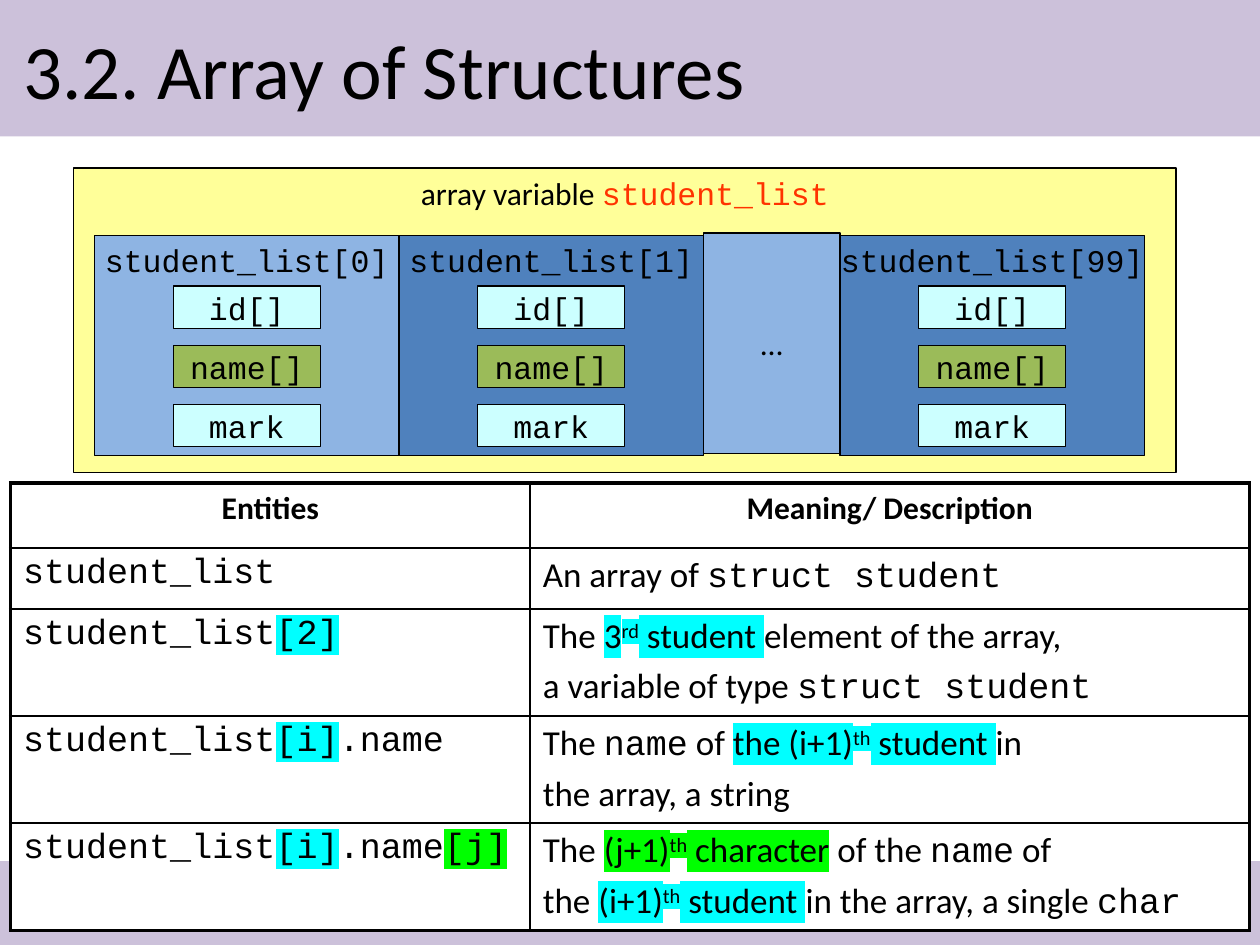
"""Build the slide on arrays of structures, laid out on a grid of 120 columns by 90 rows."""

from typing import Any, NamedTuple

import lxml.etree
import pptx
import pptx.dml.color
import pptx.enum.shapes
import pptx.enum.text
import pptx.oxml.ns
import pptx.util

COLOURS = {
    "band": "CCC1DA",
    "panel": "FFFF99",
    "light": "8EB4E3",
    "dark": "4F81BD",
    "field": "CCFFFF",
    "array_field": "9BBB59",
    "variable": "FF3300",
    "cyan": "00FFFF",
    "green": "00FF00",
    "black": "000000",
    "white": "FFFFFF",
}
SANS, MONO = "Calibri", "Courier New"
CENTER = pptx.enum.text.PP_ALIGN.CENTER
LEFT = pptx.enum.text.PP_ALIGN.LEFT
TOP = pptx.enum.text.MSO_ANCHOR.TOP
MIDDLE = pptx.enum.text.MSO_ANCHOR.MIDDLE


class Run(NamedTuple):
    text: str
    font: str = SANS
    highlight: str = ""
    raised: bool = False
    colour: str = "black"


class Area(NamedTuple):
    column: float
    row: float
    columns: float
    rows: float


class Element(NamedTuple):
    label: str
    column: float
    fill: str


class Field(NamedTuple):
    label: str
    fill: str


ELEMENTS = [
    Element("student_list[0]", 9, "light"),
    Element("student_list[1]", 38, "dark"),
    Element("student_list[99]", 80, "dark"),
]
FIELDS = [Field("id[]", "field"), Field("name[]", "array_field"), Field("mark", "field")]
TABLE_COLUMNS = [49.5, 68.5]
TABLE_ROWS = [6.2, 5.8, 10.2, 10.2, 10.2]
LIST = Run("student_list", MONO)
INDEX_I = Run("[i]", MONO, "cyan")
NAME = Run("name", MONO)
STRUCT = Run("struct student", MONO)
STUDENT = Run(" student ", SANS, "cyan")


def ordinal(number: str, suffix: str, mark: str) -> list[Run]:
    """Return a highlighted number followed by its raised suffix."""
    return [Run(number, SANS, mark), Run(suffix, SANS, mark, True)]


ENTITIES = [
    ([[Run("Entities")]], [[Run("Meaning/ Description")]]),
    ([[LIST]], [[Run("An array of "), STRUCT]]),
    (
        [[LIST, Run("[2]", MONO, "cyan")]],
        [
            [Run("The "), *ordinal("3", "rd", "cyan"), STUDENT, Run("element of the array,")],
            [Run("a variable of type "), STRUCT],
        ],
    ),
    (
        [[LIST, INDEX_I, Run(".name", MONO)]],
        [
            [Run("The "), NAME, Run(" of "), *ordinal("the (i+1)", "th", "cyan"), STUDENT, Run("in")],
            [Run("the array, a string")],
        ],
    ),
    (
        [[LIST, INDEX_I, Run(".name", MONO), Run("[j]", MONO, "green")]],
        [
            [
                Run("The "), *ordinal("(j+1)", "th", "green"), Run(" character", SANS, "green"),
                Run(" of the "), NAME, Run(" of"),
            ],
            [
                Run("the "), *ordinal("(i+1)", "th", "cyan"), STUDENT,
                Run("in the array, a single "), Run("char", MONO),
            ],
        ],
    ),
]


def grid(units: float) -> int:
    """Convert grid units, twelve to the inch, to a length."""
    return pptx.util.Inches(units / 12)


def rgb(name: str) -> pptx.dml.color.RGBColor:
    """Look up a named colour."""
    return pptx.dml.color.RGBColor.from_string(COLOURS[name])


def add_colour(parent: Any, name: str) -> None:
    """Append a colour element to an XML element."""
    colour = lxml.etree.SubElement(parent, pptx.oxml.ns.qn("a:srgbClr"))
    colour.set("val", COLOURS[name])


def write(frame: Any, lines: list[list[Run]], size: float, align: Any = LEFT, bold: bool = False) -> None:
    """Write lines of runs into a text frame."""
    for number, line in enumerate(lines):
        paragraph = frame.add_paragraph() if number else frame.paragraphs[0]
        paragraph.alignment = align
        if number:
            paragraph.space_before = pptx.util.Pt(size / 5)
        for part in line:
            run = paragraph.add_run()
            run.text = part.text
            run.font.size = pptx.util.Pt(size)
            run.font.bold = bold
            run.font.color.rgb = rgb(part.colour)
            properties = run.font._element
            if part.highlight:
                highlight = lxml.etree.SubElement(properties, pptx.oxml.ns.qn("a:highlight"))
                add_colour(highlight, part.highlight)
            if part.raised:
                properties.set("baseline", "30000")
            run.font.name = part.font


def add_box(shapes: Any, area: Area, fill: str, runs: list[Run], anchor: Any = MIDDLE) -> None:
    """Draw a rectangle, outlined when it carries text."""
    shape = shapes.add_shape(pptx.enum.shapes.MSO_SHAPE.RECTANGLE, *map(grid, area))
    shape.shadow.inherit = False
    shape.fill.solid()
    shape.fill.fore_color.rgb = rgb(fill)
    if not runs:
        shape.line.fill.background()
        return
    shape.line.color.rgb = rgb("black")
    shape.line.width = pptx.util.Pt(0.75)
    shape.text_frame.word_wrap = False
    shape.text_frame.vertical_anchor = anchor
    write(shape.text_frame, [runs], 18, CENTER)


def add_element(shapes: Any, element: Element) -> None:
    """Draw one array element with its fields."""
    area = Area(element.column, 22.4, 29, 21)
    add_box(shapes, area, element.fill, [Run(element.label, MONO)], TOP)
    for number, field in enumerate(FIELDS):
        place = Area(element.column + 7.5, 27.25 + 5.63 * number, 14, 4.05)
        add_box(shapes, place, field.fill, [Run(field.label, MONO)])


def set_borders(cell: Any, heavy: dict[str, bool]) -> None:
    """Give a cell black borders, heavier on the outer sides."""
    properties = cell._tc.get_or_add_tcPr()
    for position, (side, outer) in enumerate(heavy.items()):
        line = lxml.etree.Element(pptx.oxml.ns.qn(f"a:ln{side}"))
        line.set("w", str(pptx.util.Pt(2.25 if outer else 1)))
        add_colour(lxml.etree.SubElement(line, pptx.oxml.ns.qn("a:solidFill")), "black")
        properties.insert(position, line)


def add_entities(shapes: Any) -> None:
    """Draw the table of entities and their meanings."""
    area = Area(1, 46, sum(TABLE_COLUMNS), sum(TABLE_ROWS))
    table = shapes.add_table(len(TABLE_ROWS), len(TABLE_COLUMNS), *map(grid, area)).table
    table.first_row = table.horz_banding = False
    for column, width in zip(table.columns, TABLE_COLUMNS):
        column.width = grid(width)
    for r, (height, entity) in enumerate(zip(TABLE_ROWS, ENTITIES)):
        table.rows[r].height = grid(height)
        header, last = r == 0, r == len(TABLE_ROWS) - 1
        for c, lines in enumerate(entity):
            cell = table.cell(r, c)
            if last:
                cell.fill.solid()
                cell.fill.fore_color.rgb = rgb("white")
            else:
                cell.fill.background()
            set_borders(cell, {"L": c == 0, "R": c == 1, "T": header, "B": last})
            write(cell.text_frame, lines, 18 if header else 20, CENTER if header else LEFT, header)


def main() -> None:
    """Build and save the presentation."""
    presentation = pptx.Presentation()
    presentation.slide_width, presentation.slide_height = grid(120), grid(90)
    slide = presentation.slides.add_slide(presentation.slide_layouts[5])
    for band in (Area(0, 0, 120, 13), Area(0, 82, 120, 8)):
        add_box(slide.shapes, band, "band", [])
    diagram = slide.shapes.add_group_shape().shapes
    caption = [Run("array variable "), Run("student_list", MONO, colour="variable")]
    add_box(diagram, Area(7, 16, 105, 29), "panel", caption, TOP)
    for element in ELEMENTS:
        add_element(diagram, element)
    add_entities(slide.shapes)
    add_box(slide.shapes, Area(67, 22.2, 13, 21), "light", [Run("…")])
    title = slide.shapes.title
    title.left, title.top, title.width, title.height = map(grid, Area(1, 1, 118, 11))
    title.text_frame.vertical_anchor = MIDDLE
    write(title.text_frame, [[Run("3.2. Array of Structures")]], 44)
    slide.shapes._spTree.append(title._element)
    presentation.save("out.pptx")


if __name__ == "__main__":
    main()
